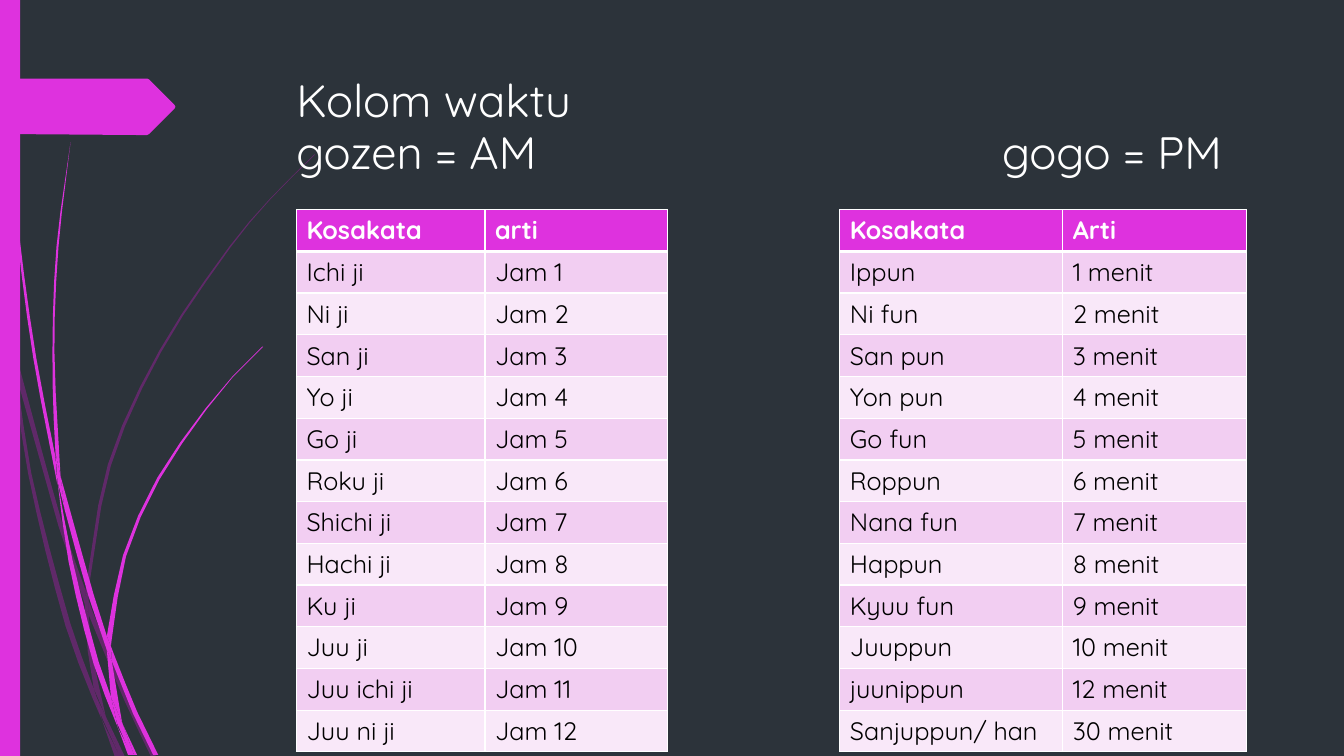
from dataclasses import dataclass
from math import hypot

from lxml import etree
from pptx import Presentation
from pptx.dml.color import RGBColor
from pptx.enum.shapes import MSO_SHAPE
from pptx.enum.text import MSO_ANCHOR, PP_ALIGN
from pptx.oxml.ns import qn
from pptx.util import Inches, Pt

RECTANGLE = MSO_SHAPE.RECTANGLE
TOP = MSO_ANCHOR.TOP
LEFT = PP_ALIGN.LEFT

FONT = "Quicksand"
BACKGROUND, WHITE, BLACK = "2C333A", "FFFFFF", "000000"
PINK, PURPLE = "DE32DE", "B01CB0"
BANDS = ("F2CEF2", "F9E8F9")
ROW_HEIGHT = 0.41
CURVE_STEP = 0.4

Point = tuple[float, float]
Edge = tuple[Point, ...]
Outline = tuple[Edge, ...]


@dataclass
class Strands:
    colour: str
    opacity: int
    outlines: tuple[Outline, ...]


@dataclass
class WordTable:
    left: float
    widths: tuple[float, float]
    headings: tuple[str, str]
    words: list[tuple[str, str]]


PURPLE_STRANDS = Strands(PURPLE, 40, (
    (((0.11, 3.5), (0.09, 3.22), (0, 2.82)), ((0, 2.99), (0.1, 3.44))),
    (((0.58, 5.22), (0.84, 5.99)), ((0.85, 5.86), (0.62, 5.2), (0.14, 3.45)),
     ((0.17, 3.76), (0.58, 5.22))),
    (((0.92, 6.07), (0.88, 5.96)), ((0.88, 6.1), (1.23, 6.94), (1.5, 7.51)),
     ((1.55, 7.51), (1.27, 6.92), (0.92, 6.07))),
    (((1.19, 7.51), (1.24, 7.51)), ((1.05, 7.11), (1.19, 7.51))),
    (((0.93, 6.83), (0.7, 6.19), (0.31, 4.69), (0.17, 3.76), (0.11, 3.5)),
     ((0.11, 3.5), (0.28, 4.7), (0.65, 6.21), (0.92, 6.93), (1.01, 7.14))),
    (((0.84, 5.99), (0.87, 6.46), (0.93, 6.83), (1.05, 7.11)),
     ((1.05, 7.11), (0.91, 6.46), (0.88, 6.1))),
    (((0.88, 5.84), (1.1, 4.62), (1.6, 3.49), (2.29, 2.45), (2.68, 1.98), (3.12, 1.54)),
     ((3.12, 1.53), (2.68, 1.97), (2.28, 2.44), (1.58, 3.48), (1.07, 4.61), (0.85, 5.84)),
     ((0.85, 5.86), (0.88, 5.96))),
    (((1.01, 7.14), (1.14, 7.51)), ((1.19, 7.51), (1.01, 7.14))),
    (((0.88, 6.1), (0.88, 5.96)), ((0.85, 5.86), (0.84, 5.99))),
    (((0.96, 6.92), (0.93, 6.83)), ((0.99, 7.07), (1.19, 7.51)), ((1.05, 7.11), (0.96, 6.92))),
))

PINK_STRANDS = Strands(PINK, 100, (
    (((0.03, 0), (0.07, 1.1), (0.17, 2.33), (0.33, 3.55), (0.57, 4.81)),
     ((0.55, 4.53), (0.36, 3.55), (0.19, 2.32), (0.08, 1.09), (0.04, 0))),
    (((0.64, 5.05), (0.88, 5.92), (1.06, 6.45)), ((1.06, 6.31), (0.93, 5.9), (0.6, 4.72))),
    (((1.13, 6.49), (1.1, 6.41)), ((1.11, 6.56), (1.32, 7.08), (1.52, 7.49)),
     ((1.57, 7.49), (1.36, 7.06), (1.13, 6.49))),
    (((1.1, 6.91), (0.98, 6.57), (0.72, 5.56), (0.57, 4.77)),
     ((0.57, 4.77), (0.68, 5.57), (0.93, 6.59), (1.17, 7.22))),
    (((0.6, 4.72), (0.54, 3.49), (0.58, 2.45), (0.7, 1.41)),
     ((0.7, 1.41), (0.56, 2.45), (0.52, 3.49), (0.55, 4.49), (0.6, 4.72))),
    (((1.33, 7.49), (1.36, 7.49)), ((1.22, 7.19), (1.33, 7.49))),
    (((0.57, 4.77), (0.64, 5.05)), ((0.6, 4.72), (0.55, 4.49))),
    (((1.11, 6.33), (1.25, 5.52), (1.58, 4.76), (2.05, 4.06), (2.31, 3.74), (2.61, 3.44)),
     ((2.6, 3.44), (2.31, 3.73), (2.04, 4.05), (1.56, 4.74), (1.22, 5.51), (1.06, 6.31)),
     ((1.06, 6.31), (1.1, 6.41))),
    (((1.17, 7.22), (1.27, 7.49)), ((1.31, 7.49), (1.17, 7.22))),
    (((1.06, 6.45), (1.1, 6.91), (1.22, 7.19)), ((1.21, 7.16), (1.11, 6.56))),
    (((1.06, 6.45), (1.11, 6.56)), ((1.1, 6.41), (1.06, 6.31))),
    (((1.1, 6.91), (1.16, 7.17), (1.3, 7.49)), ((1.33, 7.49), (1.22, 7.19), (1.1, 6.91))),
))

PAGE_MARKER: Outline = (
    ((0, 0.78), (1.46, 0.78)), ((1.48, 0.79), (1.73, 1.04)), ((1.74, 1.06), (1.73, 1.08)),
    ((1.48, 1.33), (1.46, 1.34)), ((1.36, 1.34), (0, 1.33)),
)

HOURS = ("Ichi", "Ni", "San", "Yo", "Go", "Roku", "Shichi", "Hachi", "Ku", "Juu", "Juu ichi", "Juu ni")
MINUTES = {
    "Ippun": 1, "Ni fun": 2, "San pun": 3, "Yon pun": 4, "Go fun": 5, "Roppun": 6, "Nana fun": 7,
    "Happun": 8, "Kyuu fun": 9, "Juuppun": 10, "juunippun": 12, "Sanjuppun/ han": 30,
}
TABLES = (
    WordTable(2.94, (1.87, 1.81), ("Kosakata", "arti"),
              [(f"{hour} ji", f"Jam {number}") for number, hour in enumerate(HOURS, 1)]),
    WordTable(8.33, (2.21, 1.82), ("Kosakata", "Arti"),
              [(word, f"{number} menit") for word, number in MINUTES.items()]),
)


def set_fill(fill, colour: str) -> None:
    fill.solid()
    fill.fore_color.rgb = RGBColor.from_string(colour)


def set_font(font, size: float, colour: str, bold: bool = False) -> None:
    font.name, font.size, font.bold = FONT, Pt(size), bold
    font.color.rgb = RGBColor.from_string(colour)


def paint(shape, colour: str, opacity: int = 100) -> None:
    shape.shadow.inherit = False
    set_fill(shape.fill, colour)
    shape.line.fill.background()
    if opacity < 100:
        shade = shape.element.spPr.find(".//" + qn("a:srgbClr"))
        etree.SubElement(shade, qn("a:alpha"), val=str(opacity * 1000))


def smooth(edge: Edge) -> list[Point]:
    """Run a Hermite curve through the points of one edge."""
    if len(edge) == 2:
        return list(edge)
    slopes = []
    for index in range(len(edge)):
        before, after = edge[max(index - 1, 0)], edge[min(index + 1, len(edge) - 1)]
        dx, dy = after[0] - before[0], after[1] - before[1]
        slopes.append((dx / hypot(dx, dy), dy / hypot(dx, dy)))
    points = [edge[0]]
    for start, end, leave, arrive in zip(edge, edge[1:], slopes, slopes[1:]):
        length = hypot(end[0] - start[0], end[1] - start[1])
        steps = max(1, round(length / CURVE_STEP))
        for step in range(1, steps + 1):
            t = step / steps
            weight = t * t * (3 - 2 * t)
            out, back = length * t * (1 - t) ** 2, length * t * t * (t - 1)
            points.append(tuple(
                a + (b - a) * weight + out * u + back * v
                for a, b, u, v in zip(start, end, leave, arrive)))
    return points


def draw_outline(shapes, outline: Outline, colour: str, opacity: int = 100) -> None:
    points = [(Inches(x), Inches(y)) for edge in outline for x, y in smooth(edge)]
    builder = shapes.build_freeform(*points[0])
    builder.add_line_segments(points[1:], close=True)
    paint(builder.convert_to_shape(), colour, opacity)


def draw_strands(page, strands: Strands) -> None:
    group = page.shapes.add_group_shape()
    for outline in strands.outlines:
        draw_outline(group.shapes, outline, strands.colour, strands.opacity)


def set_borders(cell, top: int, bottom: int) -> None:
    properties = cell._tc.get_or_add_tcPr()
    for index, (side, width) in enumerate((("L", 1), ("R", 1), ("T", top), ("B", bottom))):
        line = etree.Element(qn(f"a:ln{side}"), w=str(Pt(width)))
        solid = etree.SubElement(line, qn("a:solidFill"))
        etree.SubElement(solid, qn("a:srgbClr"), val=WHITE)
        properties.insert(index, line)


def draw_table(page, words: WordTable) -> None:
    rows = [words.headings, *words.words]
    table = page.shapes.add_table(
        len(rows), 2, Inches(words.left), Inches(2.08),
        Inches(sum(words.widths)), Inches(ROW_HEIGHT * len(rows))).table
    for column, width in zip(table.columns, words.widths):
        column.width = Inches(width)
    for row, texts in enumerate(rows):
        heading = row == 0
        for column, text in enumerate(texts):
            cell = table.cell(row, column)
            cell.text_frame.text = text
            set_font(cell.text_frame.paragraphs[0].runs[0].font, 18, WHITE if heading else BLACK, heading)
            set_fill(cell.fill, PINK if heading else BANDS[(row - 1) % 2])
            set_borders(cell, 3 if row == 1 else 1, 3 if heading else 1)


def place_title(page) -> None:
    title = page.shapes.title
    title.element.getparent().append(title.element)
    title.left, title.top, title.width, title.height = map(Inches, (2.84, 0.68, 9.75, 1.4))
    frame = title.text_frame
    frame.text = "Kolom waktu\vgozen = AM\tgogo = PM"
    frame.word_wrap, frame.vertical_anchor, frame.margin_top = True, TOP, Inches(0.08)
    para = frame.paragraphs[0]
    para.alignment, para.line_spacing = LEFT, 0.95
    tabs = etree.SubElement(para._p.get_or_add_pPr(), qn("a:tabLst"))
    etree.SubElement(tabs, qn("a:tab"), pos=str(Inches(7)), algn="l")
    for span in para.runs:
        set_font(span.font, 32.4, WHITE)


def main() -> None:
    deck = Presentation()
    deck.slide_width, deck.slide_height = Inches(13.33), Inches(7.5)
    page = deck.slides.add_slide(deck.slide_layouts[5])
    set_fill(page.background.fill, BACKGROUND)
    for strands in (PURPLE_STRANDS, PINK_STRANDS):
        draw_strands(page, strands)
    side_bar = page.shapes.add_shape(RECTANGLE, 0, 0, Inches(0.2), deck.slide_height)
    paint(side_bar, PINK)
    draw_outline(page.shapes, PAGE_MARKER, PINK)
    place_title(page)
    for words in TABLES:
        draw_table(page, words)
    deck.save("out.pptx")


if __name__ == "__main__":
    main()
